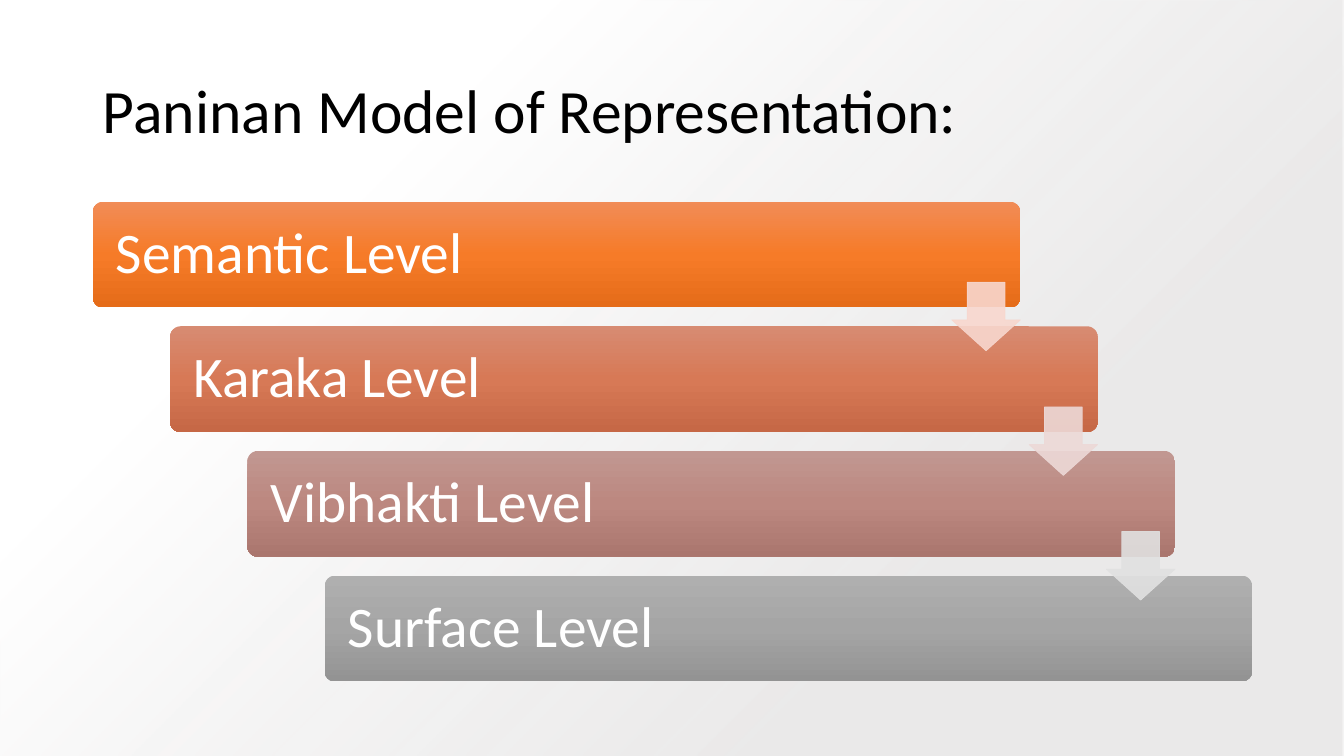
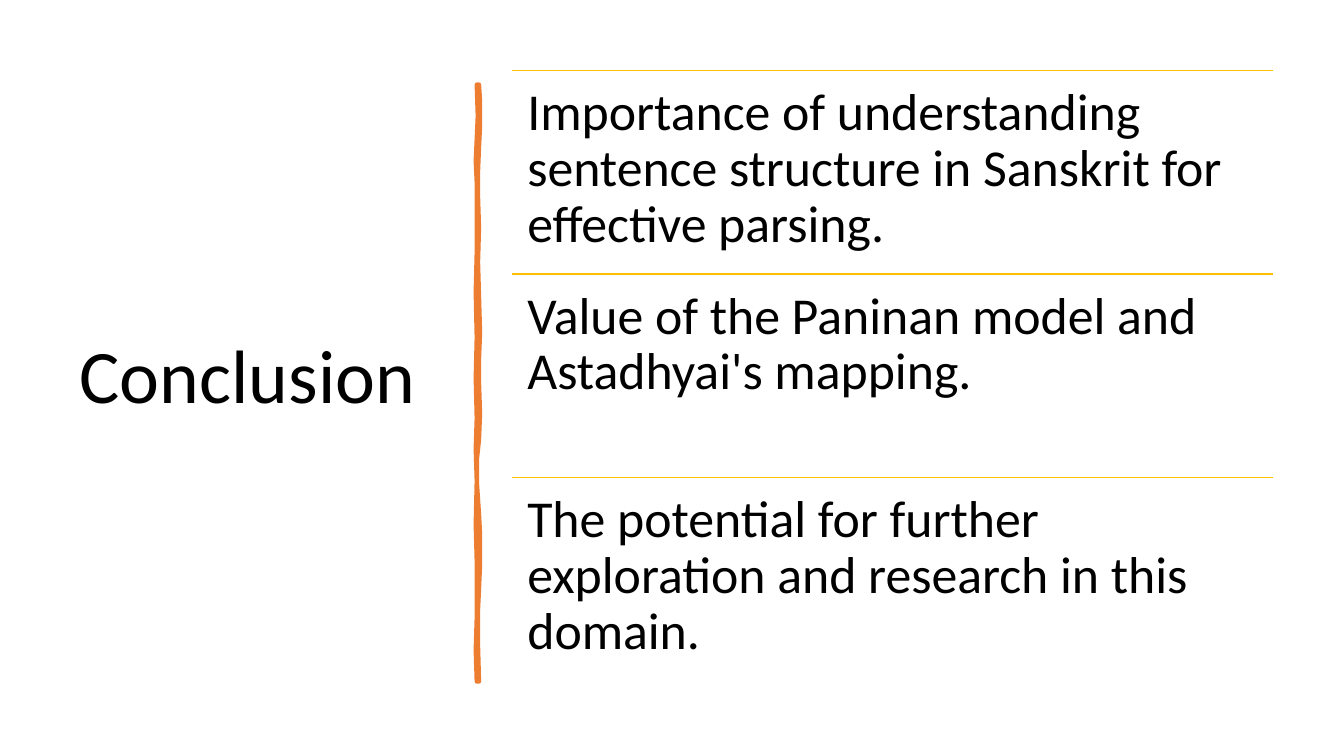
from dataclasses import dataclass

from lxml import etree
from pptx import Presentation
from pptx.dml.color import RGBColor
from pptx.enum.shapes import MSO_CONNECTOR, MSO_SHAPE
from pptx.enum.text import MSO_ANCHOR, MSO_AUTO_SIZE, PP_ALIGN
from pptx.oxml import parse_xml
from pptx.oxml.ns import nsdecls, qn
from pptx.util import Inches, Pt

LEFT = PP_ALIGN.LEFT
MIDDLE = MSO_ANCHOR.MIDDLE
TOP = MSO_ANCHOR.TOP
NO_AUTOFIT = MSO_AUTO_SIZE.NONE
RECTANGLE = MSO_SHAPE.RECTANGLE
ROUNDED = MSO_SHAPE.ROUNDED_RECTANGLE
DOWN_ARROW = MSO_SHAPE.DOWN_ARROW
STRAIGHT = MSO_CONNECTOR.STRAIGHT

SLIDE_WIDTH, SLIDE_HEIGHT = 13.33, 7.5
TITLE_ONLY = 5
LINEAR_DOWN = '<a:lin ang="5400000" scaled="0"/>'
FROM_CORNER = '<a:path path="circle"><a:fillToRect l="100000" t="100000"/></a:path>'

LEVELS = [
    ("Semantic Level", ("F18C57", "F67B28", "E56C19"), "F8D7CE"),
    ("Karaka Level", ("D78B72", "D77956", "C66846"), "EDD9D7"),
    ("Vibhakti Level", ("C19791", "BC8880", "AA766E"), "E1E1E1"),
    ("Surface Level", ("AFAFAF", "A5A5A5", "939393"), None),
]
CONCLUSIONS = [
    "Importance of understanding sentence structure in Sanskrit for effective parsing.",
    "Value of the Paninan model and Astadhyai's mapping.",
    "The potential for further exploration and research in this domain.",
]
BRUSH_OUTLINE = [
    (4.75, 0.84), (4.76, 1.0), (4.76, 1.25), (4.75, 1.46), (4.74, 1.7),
    (4.74, 1.95), (4.75, 2.26), (4.74, 2.6), (4.75, 2.94), (4.76, 3.3),
    (4.75, 3.56), (4.75, 3.8), (4.76, 4.1), (4.75, 4.36), (4.73, 4.55),
    (4.73, 4.8), (4.75, 5.1), (4.76, 5.3), (4.76, 5.6), (4.75, 5.84),
    (4.74, 6.05), (4.74, 6.4), (4.75, 6.76), (4.73, 6.76), (4.72, 6.45),
    (4.73, 6.13), (4.73, 5.57), (4.72, 5.2), (4.73, 4.77), (4.72, 4.45),
    (4.73, 4.15), (4.72, 3.75), (4.73, 3.35), (4.72, 2.9), (4.73, 2.5),
    (4.73, 1.81), (4.72, 1.6), (4.74, 1.15), (4.73, 0.84),
]


@dataclass(frozen=True)
class Theme:
    """Colours, font and type sizes shared by the slides."""
    font: str = "Calibri"
    ink: str = "000000"
    paper: str = "FFFFFF"
    haze: str = "E7E6E6"
    brush: str = "ED7D31"
    rule: str = "FFC000"
    title_size: int = 44
    large_title_size: int = 54
    level_size: int = 41
    point_size: int = 37


def write_text(frame, text, *, font, size, color, anchor=TOP, inset=None):
    """Fill a text frame with one formatted paragraph."""
    frame.word_wrap = True
    frame.auto_size = NO_AUTOFIT
    frame.vertical_anchor = anchor
    if inset is not None:
        frame.margin_left = frame.margin_right = Inches(inset)
        frame.margin_top = frame.margin_bottom = Inches(inset)
    paragraph = frame.paragraphs[0]
    paragraph.alignment = LEFT
    paragraph.line_spacing = 0.9
    paragraph.space_before = Pt(0)
    run = paragraph.add_run()
    run.text = text
    run.font.name = font
    run.font.size = Pt(size)
    run.font.color.rgb = RGBColor.from_string(color)


def box(left, top, width, height):
    """Convert a rectangle in inches to lengths."""
    return [Inches(value) for value in (left, top, width, height)]


class Deck:
    """Holds the theme and the current slide and draws elements on it."""

    def __init__(self, theme):
        """Start an empty widescreen presentation."""
        self.theme = theme
        self.presentation = Presentation()
        self.presentation.slide_width = Inches(SLIDE_WIDTH)
        self.presentation.slide_height = Inches(SLIDE_HEIGHT)
        self.slide = None

    def new_slide(self, title, area, size):
        """Add a slide with its title placed in the given area."""
        layout = self.presentation.slide_layouts[TITLE_ONLY]
        self.slide = self.presentation.slides.add_slide(layout)
        heading = self.slide.shapes.title
        heading.left, heading.top, heading.width, heading.height = box(*area)
        write_text(heading.text_frame, title, font=self.theme.font, size=size,
                   color=self.theme.ink, anchor=MIDDLE)

    def shape(self, kind, area, adjustments=()):
        """Add a preset shape without shadow or line."""
        shape = self.slide.shapes.add_shape(kind, *box(*area))
        shape.shadow.inherit = False
        shape.line.fill.background()
        for index, value in enumerate(adjustments):
            shape.adjustments[index] = value
        return shape

    def gradient(self, shape, stops, direction):
        """Give a shape a gradient of (position, colour, opacity) stops."""
        marks = "".join(
            f'<a:gs pos="{position * 1000}"><a:srgbClr val="{color}">'
            f'<a:alpha val="{opacity * 1000}"/></a:srgbClr></a:gs>'
            for position, color, opacity in stops)
        shape.fill.solid()
        properties = shape._element.spPr
        properties.replace(properties.find(qn("a:solidFill")), parse_xml(
            f'<a:gradFill {nsdecls("a")} rotWithShape="1">'
            f"<a:gsLst>{marks}</a:gsLst>{direction}</a:gradFill>"))

    def backdrop(self):
        """Lay a soft corner gradient behind everything on the slide."""
        backdrop = self.shape(RECTANGLE, (0, 0, SLIDE_WIDTH, SLIDE_HEIGHT))
        self.gradient(backdrop, [(28, self.theme.haze, 84), (74, self.theme.paper, 100)],
                      FROM_CORNER)
        self.slide.shapes._spTree.insert(2, backdrop._element)

    def level_bar(self, text, area, colors):
        """Add a labelled bar shaded from top to bottom."""
        bar = self.shape(ROUNDED, area, [0.1])
        self.gradient(bar, [(i * 50, color, 100) for i, color in enumerate(colors)],
                      LINEAR_DOWN)
        write_text(bar.text_frame, text, font=self.theme.font, color=self.theme.paper,
                   size=self.theme.level_size, anchor=MIDDLE, inset=0.2)

    def step_arrow(self, area, color):
        """Add a slightly transparent arrow pointing down."""
        arrow = self.shape(DOWN_ARROW, area, [0.55, 0.45])
        for fill in (arrow.fill, arrow.line.fill):
            fill.solid()
            fill.fore_color.rgb = RGBColor.from_string(color)
        arrow.line.width = Pt(0.5)
        for tint in arrow._element.spPr.iter(qn("a:srgbClr")):
            etree.SubElement(tint, qn("a:alpha")).set("val", "90000")

    def rule(self, left, top, width):
        """Draw a thin horizontal rule."""
        start, height = Inches(left), Inches(top)
        rule = self.slide.shapes.add_connector(
            STRAIGHT, start, height, start + Inches(width), height)
        rule.line.color.rgb = RGBColor.from_string(self.theme.rule)
        rule.line.width = Pt(1)
        etree.SubElement(rule._element.spPr, qn("a:effectLst"))

    def point(self, text, area):
        """Add a statement with a rule above it."""
        left, top, width, _ = area
        self.rule(left, top, width)
        statement = self.slide.shapes.add_textbox(*box(*area))
        write_text(statement.text_frame, text, font=self.theme.font,
                   size=self.theme.point_size, color=self.theme.ink, inset=0.15)

    def brush_stroke(self, outline):
        """Draw a closed hand-drawn stroke through the outline."""
        corners = [(Inches(x), Inches(y)) for x, y in outline]
        builder = self.slide.shapes.build_freeform(*corners[0])
        builder.add_line_segments(corners[1:], close=True)
        stroke = builder.convert_to_shape()
        stroke.shadow.inherit = False
        for fill in (stroke.fill, stroke.line.fill):
            fill.solid()
            fill.fore_color.rgb = RGBColor.from_string(self.theme.brush)
        stroke.line.width = Pt(3.25)


def build_model(deck):
    """Build the staircase of representation levels."""
    deck.new_slide("Paninan Model of Representation:", (0.92, 0.4, 11.5, 1.45),
                   deck.theme.title_size)
    deck.backdrop()
    width, height, arrow_size = 9.2, 1.05, 0.68
    steps = len(LEVELS) - 1
    step_x, step_y = (3.22 - 0.92) / steps, (5.71 - 2) / steps
    corners = [(0.92 + i * step_x, 2 + i * step_y) for i in range(len(LEVELS))]
    for (left, top), (label, colors, _) in zip(corners, LEVELS):
        deck.level_bar(label, (left, top, width, height), colors)
    for (left, top), (_, _, arrow_color) in zip(corners[:-1], LEVELS):
        deck.step_arrow((left + width - arrow_size, top + 0.8, arrow_size, arrow_size),
                        arrow_color)


def build_conclusion(deck):
    """Build the closing statements beside the title."""
    deck.new_slide("Conclusion", (0.69, 0.7, 3.74, 6.11), deck.theme.large_title_size)
    deck.brush_stroke(BRUSH_OUTLINE)
    height = 2.02
    for i, statement in enumerate(CONCLUSIONS):
        deck.point(statement, (5.08, 0.7 + i * height, 7.55, height))


def main():
    """Build and save the presentation."""
    deck = Deck(Theme())
    build_model(deck)
    build_conclusion(deck)
    deck.presentation.save("out.pptx")


if __name__ == "__main__":
    main()
